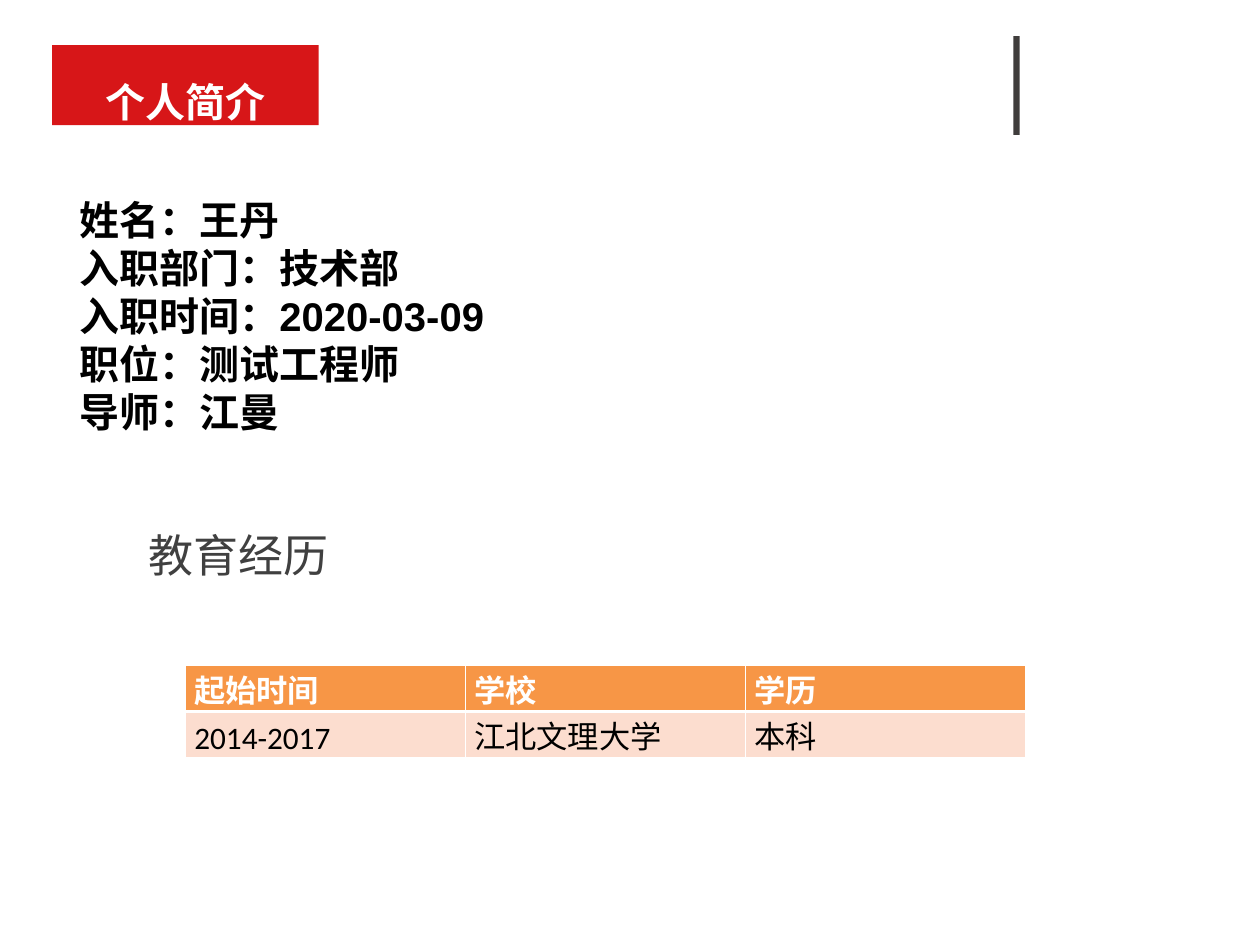
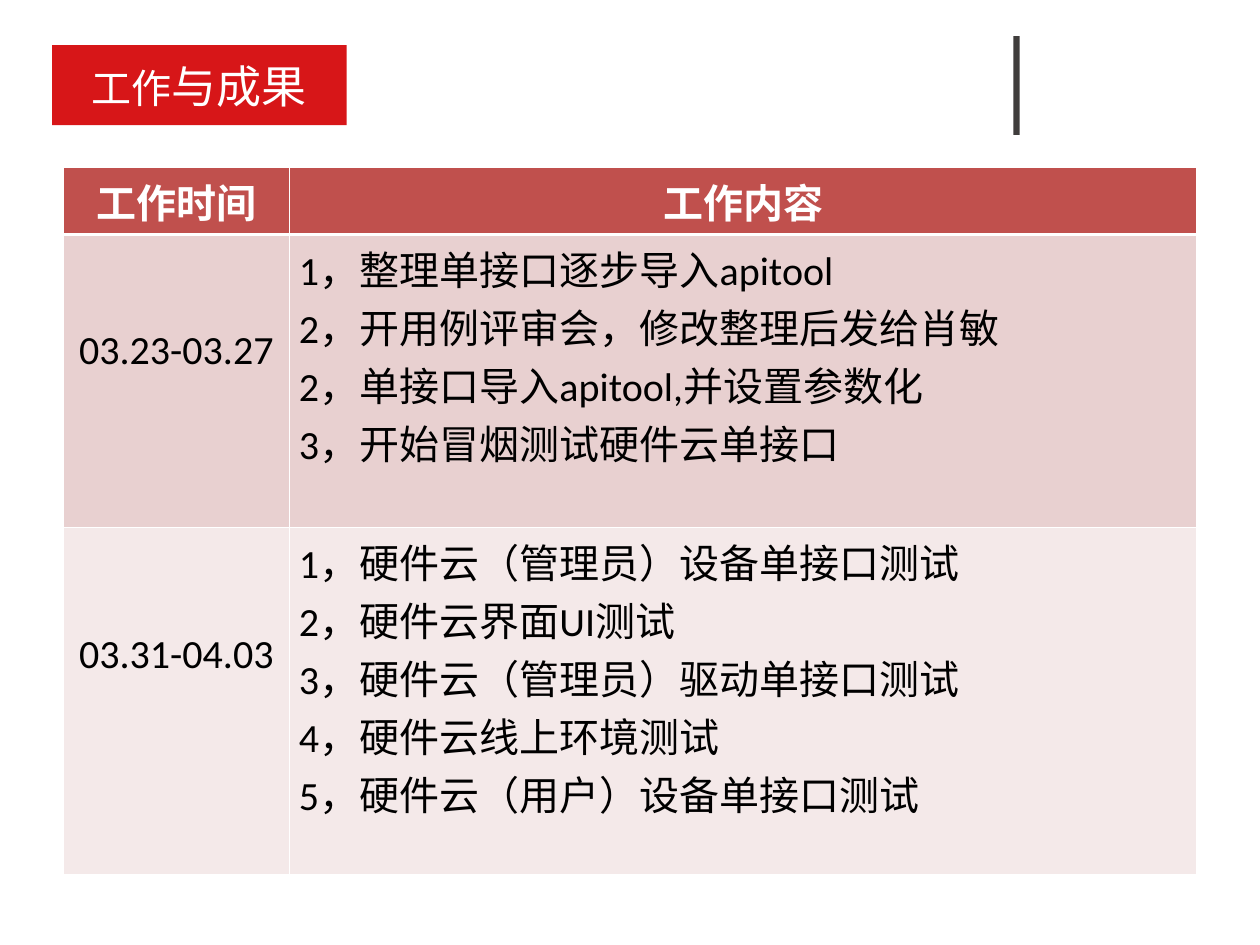
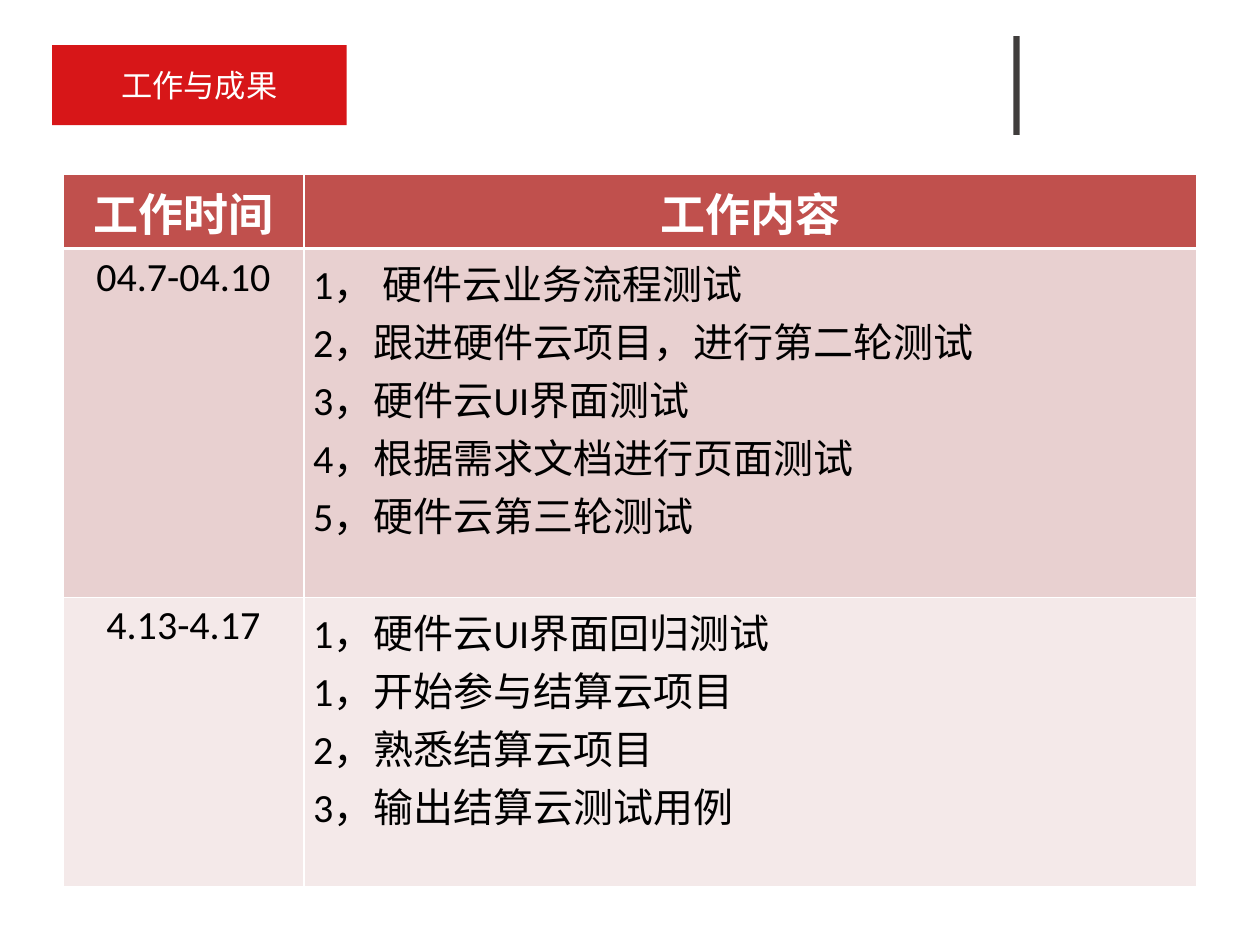
import pptx
import pptx.dml.color
import pptx.enum.shapes
import pptx.enum.text
import pptx.oxml
import pptx.oxml.ns
import pptx.util

Cm = pptx.util.Cm
Pt = pptx.util.Pt
RGBColor = pptx.dml.color.RGBColor
ALIGN = pptx.enum.text.PP_ALIGN
ANCHOR = pptx.enum.text.MSO_ANCHOR

RED = RGBColor(0xD7, 0x16, 0x18)
CHARCOAL = RGBColor(0x40, 0x3D, 0x3C)
GREY = RGBColor(0x40, 0x40, 0x40)
BLACK = RGBColor(0, 0, 0)
WHITE = RGBColor(0xFF, 0xFF, 0xFF)
ORANGE = RGBColor(0xF7, 0x96, 0x46)
PEACH = RGBColor(0xFC, 0xDD, 0xCF)
BRICK = RGBColor(0xC0, 0x50, 0x4D)
ROSE = RGBColor(0xE8, 0xD0, 0xD0)
PALE_ROSE = RGBColor(0xF4, 0xE9, 0xE9)

LATIN = "Calibri"
CJK = "Noto Sans CJK SC"


def style(p, size, color, name=LATIN, bold=False, align=ALIGN.LEFT):
    p.alignment = align
    p.font.size = Pt(size)
    p.font.name = name
    p.font.bold = bold
    p.font.color.rgb = color


def place(sp, box):
    sp.left, sp.top, sp.width, sp.height = (Cm(v) for v in box)


def add_master_bar(prs, s, box):
    """Draw the dark vertical bar and move it to the slide master."""
    sp = s.shapes.add_shape(pptx.enum.shapes.MSO_SHAPE.RECTANGLE,
                            *(Cm(v) for v in box))
    sp.shadow.inherit = False
    sp.fill.solid()
    sp.fill.fore_color.rgb = CHARCOAL
    sp.line.fill.background()
    prs.slide_master.shapes.element.append(sp.element)


def add_title_band(s, runs, width, name=LATIN, bold=False, anchor=ANCHOR.MIDDLE):
    """Fill the title placeholder red; runs are (text, size) pairs."""
    sp = s.shapes.title
    place(sp, (1.47, 1.27, width, 2.26))
    sp.fill.solid()
    sp.fill.fore_color.rgb = RED
    tf = sp.text_frame
    tf.auto_size = pptx.enum.text.MSO_AUTO_SIZE.NONE
    tf.vertical_anchor = anchor
    tf.margin_top = tf.margin_bottom = 0
    p = tf.paragraphs[0]
    style(p, runs[0][1], WHITE, name, bold, ALIGN.CENTER)
    for text, size in runs:
        r = p.add_run()
        r.text = text
        if size != runs[0][1]:
            r.font.size = Pt(size)


def add_profile(s, lines, box):
    sp = s.placeholders[1]
    place(sp, box)
    tf = sp.text_frame
    tf.auto_size = pptx.enum.text.MSO_AUTO_SIZE.NONE
    tf.text = "\n".join(lines)
    for p in tf.paragraphs:
        style(p, 32, BLACK, "Arial", True)
        p.space_before = Pt(0)
        p.line_spacing = Pt(38.4)
        pPr = p._p.get_or_add_pPr()
        pPr.set("marL", "0")
        pPr.set("indent", "0")
        pPr.insert_element_before(pptx.oxml.parse_xml(
            "<a:buNone %s/>" % pptx.oxml.ns.nsdecls("a")),
            "a:tabLst", "a:defRPr", "a:extLst")


def add_heading(s, text, box):
    tf = s.shapes.add_textbox(*(Cm(v) for v in box)).text_frame
    tf.word_wrap = True
    tf.vertical_anchor = ANCHOR.MIDDLE
    tf.margin_left = tf.margin_right = tf.margin_top = tf.margin_bottom = 0
    p = tf.paragraphs[0]
    p.text = text
    p.line_spacing = 0.9
    style(p, 36, GREY, CJK)


def set_borders(cell, top, bottom):
    """Give a cell white borders; top and bottom are widths in points."""
    tcPr = cell._tc.get_or_add_tcPr()
    for side, width in (("L", 1), ("R", 1), ("T", top), ("B", bottom)):
        tcPr.append(pptx.oxml.parse_xml(
            '<a:ln%s %s w="%d"><a:solidFill><a:srgbClr val="%s"/></a:solidFill></a:ln%s>'
            % (side, pptx.oxml.ns.nsdecls("a"), Pt(width), WHITE, side)))


def add_grid(s, left, top, widths, heights, rows, fills):
    """Add a table with one fill per row and a thick rule under its header."""
    table = s.shapes.add_table(len(rows), len(widths), Cm(left), Cm(top),
                               Cm(sum(widths)), Cm(sum(heights))).table
    for column, width in zip(table.columns, widths):
        column.width = Cm(width)
    for i, (row, height) in enumerate(zip(table.rows, heights)):
        row.height = Cm(height)
        for cell, text in zip(row.cells, rows[i]):
            cell.text = text
            set_borders(cell, 3 if i == 1 else 1, 3 if i == 0 else 1)
            cell.fill.solid()
            cell.fill.fore_color.rgb = fills[i]
    return table


def add_education(s, left, top, rows):
    table = add_grid(s, left, top, [7.9] * 3, [1.31] * 2, rows, (ORANGE, PEACH))
    for i, row in enumerate(table.rows):
        for cell in row.cells:
            cell.margin_top, cell.margin_bottom = Cm(0.25), 0
            p = cell.text_frame.paragraphs[0]
            p.line_spacing = Pt(30)
            style(p, 25, BLACK if i else WHITE, bold=i == 0)


def add_work_log(s, top, date_width, heights, header_size, weeks):
    """Add the work table; weeks are (dates, top margin, tasks)."""
    rows = [("工作时间", "工作内容")]
    rows += [(dates, "\n".join(tasks)) for dates, _, tasks in weeks]
    table = add_grid(s, 1.78, top, (date_width, 32 - date_width), heights, rows,
                     (BRICK, ROSE, PALE_ROSE))
    for i, row in enumerate(table.rows):
        for j, cell in enumerate(row.cells):
            for p in cell.text_frame.paragraphs:
                style(p, 32 if i else header_size, BLACK if i else WHITE,
                      bold=i == 0,
                      align=ALIGN.LEFT if i and j else ALIGN.CENTER)
    for i, (_, margin, _) in enumerate(weeks, 1):
        table.cell(i, 0).margin_top = Cm(margin)


def build_profile_slide(prs):
    s = prs.slides.add_slide(prs.slide_layouts[1])
    add_master_bar(prs, s, (28.6, 1.02, 0.18, 2.79))
    add_title_band(s, [("个人简介", 32)], 7.52, CJK, True, ANCHOR.BOTTOM)
    add_profile(s, ("姓名：王丹", "入职部门：技术部", "入职时间：2020-03-09",
                    "职位：测试工程师", "导师：江曼"), (1.98, 5.4, 17.75, 7.09))
    add_heading(s, "教育经历", (4.19, 15.16, 10.62, 1.17))
    add_education(s, 5.23, 18.77, (("起始时间", "学校", "学历"),
                                   ("2014-2017", "江北文理大学", "本科")))


def build_work_slide(prs, title_runs, **log):
    s = prs.slides.add_slide(prs.slide_layouts[5])
    add_title_band(s, title_runs, 8.31)
    add_work_log(s, **log)


def main():
    prs = pptx.Presentation()
    prs.slide_width, prs.slide_height = Cm(35.56), Cm(26.67)
    build_profile_slide(prs)
    build_work_slide(
        prs, [("工作", 32), ("与成果", 36)],
        top=4.73, date_width=6.4, heights=(1.87, 8.26, 9.8), header_size=32,
        weeks=[
            ("03.23-03.27", 2.6, (
                "1，整理单接口逐步导入apitool",
                "2，开用例评审会，修改整理后发给肖敏",
                "2，单接口导入apitool,并设置参数化",
                "3，开始冒烟测试硬件云单接口")),
            ("03.31-04.03", 2.9, (
                "1，硬件云（管理员）设备单接口测试",
                "2，硬件云界面UI测试",
                "3，硬件云（管理员）驱动单接口测试",
                "4，硬件云线上环境测试",
                "5，硬件云（用户）设备单接口测试"))])
    build_work_slide(
        prs, [("工作与成果", 25)],
        top=4.93, date_width=6.8, heights=(2.08, 9.83, 8.18), header_size=36,
        weeks=[
            ("04.7-04.10", 0.13, (
                "1， 硬件云业务流程测试",
                "2，跟进硬件云项目，进行第二轮测试",
                "3，硬件云UI界面测试",
                "4，根据需求文档进行页面测试",
                "5，硬件云第三轮测试")),
            ("4.13-4.17", 0.13, (
                "1，硬件云UI界面回归测试",
                "1，开始参与结算云项目",
                "2，熟悉结算云项目",
                "3，输出结算云测试用例"))])
    prs.save("out.pptx")


if __name__ == "__main__":
    main()
